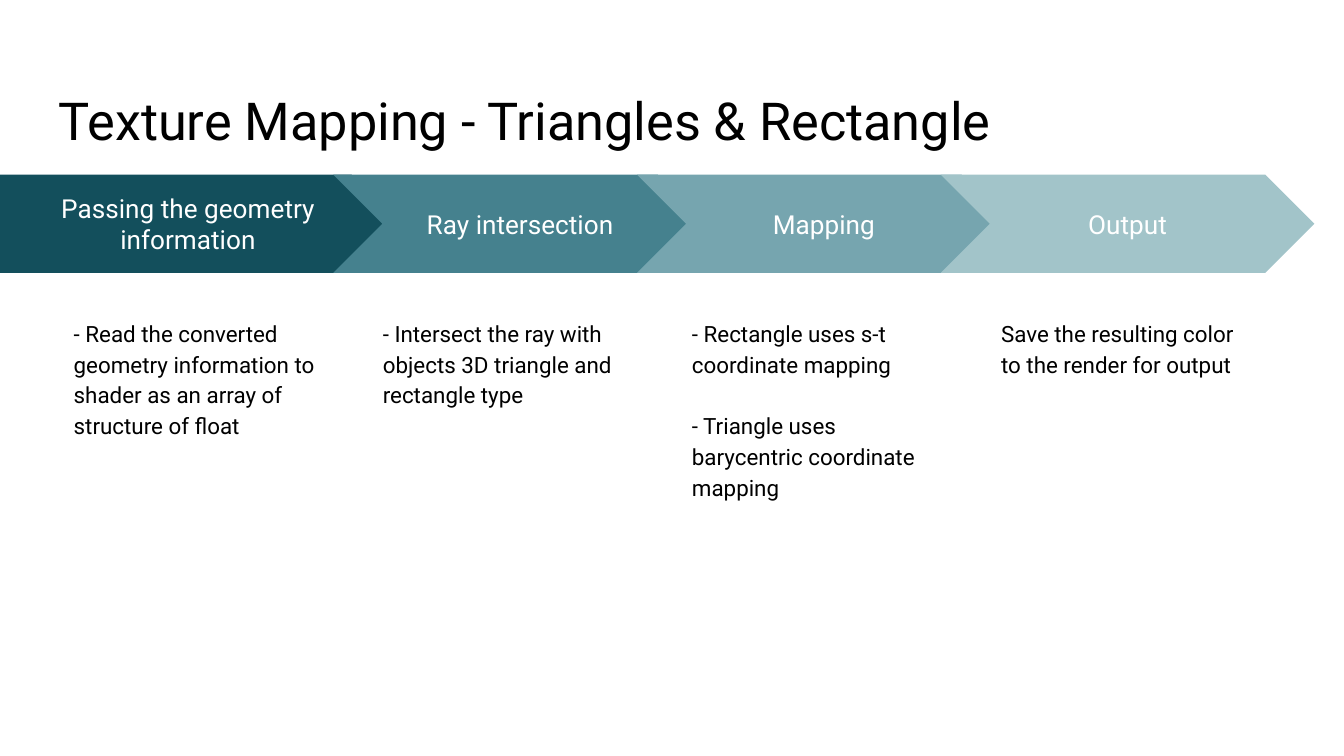
from dataclasses import dataclass

from pptx import Presentation
from pptx.dml.color import RGBColor
from pptx.enum.shapes import MSO_SHAPE
from pptx.enum.text import MSO_ANCHOR, PP_ALIGN
from pptx.slide import Slide
from pptx.text.text import TextFrame
from pptx.util import Inches, Pt

BLACK = RGBColor(0x00, 0x00, 0x00)
WHITE = RGBColor(0xFF, 0xFF, 0xFF)
DARK_TEAL = RGBColor(0x13, 0x4F, 0x5C)
TEAL = RGBColor(0x45, 0x81, 0x8E)
LIGHT_TEAL = RGBColor(0x76, 0xA5, 0xAF)
PALE_TEAL = RGBColor(0xA2, 0xC4, 0xC9)

FONT = "Roboto"
LINE_SPACING = 1.15
BLANK_LINE = Pt(16.5)

SLIDE_WIDTH = 10
SLIDE_HEIGHT = SLIDE_WIDTH * 9 / 16
ARROW_TOP, ARROW_HEIGHT = 1.3, 0.73
FIRST_ARROW_WIDTH = 2.98
CHEVRON_LEFT, CHEVRON_WIDTH, CHEVRON_PITCH = 2.48, 2.78, 2.26
DETAIL_LEFT, DETAIL_PITCH = 0.45, 2.3


@dataclass(frozen=True)
class Step:
    heading: str
    color: RGBColor
    details: tuple[str, ...]


STEPS = (
    Step("Passing the geometry information", DARK_TEAL,
         ("- Read the converted geometry information to shader as an array of structure of float",)),
    Step("Ray intersection", TEAL,
         ("- Intersect the ray with objects 3D triangle and rectangle type",)),
    Step("Mapping", LIGHT_TEAL,
         ("- Rectangle uses s-t coordinate mapping",
          "- Triangle uses barycentric coordinate mapping")),
    Step("Output", PALE_TEAL,
         ("Save the resulting color to the render for output",)),
)


def write(frame: TextFrame, paragraphs: tuple[str, ...], size: int, color: RGBColor,
          align: PP_ALIGN = PP_ALIGN.LEFT, line_spacing: float = LINE_SPACING) -> None:
    """Fill the frame, leaving one line's gap between paragraphs."""
    frame.word_wrap = True
    frame.margin_left = frame.margin_right = Inches(0.1)
    frame.margin_top = frame.margin_bottom = Inches(0.1)
    for index, text in enumerate(paragraphs):
        paragraph = frame.add_paragraph() if index else frame.paragraphs[0]
        paragraph.alignment = align
        paragraph.line_spacing = line_spacing
        if index:
            paragraph.space_before = BLANK_LINE
        run = paragraph.add_run()
        run.text = text
        run.font.name = FONT
        run.font.size = Pt(size)
        run.font.color.rgb = color


def add_text(slide: Slide, left: float, top: float, width: float, height: float,
             paragraphs: tuple[str, ...], size: int) -> None:
    box = slide.shapes.add_textbox(Inches(left), Inches(top), Inches(width), Inches(height))
    write(box.text_frame, paragraphs, size, BLACK)


def add_step(slide: Slide, index: int, step: Step) -> None:
    """Draw one arrow of the process and the details under it."""
    if index == 0:
        preset, left, width = MSO_SHAPE.PENTAGON, 0, FIRST_ARROW_WIDTH
    else:
        preset, width = MSO_SHAPE.CHEVRON, CHEVRON_WIDTH
        left = CHEVRON_LEFT + (index - 1) * CHEVRON_PITCH
    arrow = slide.shapes.add_shape(preset, Inches(left), Inches(ARROW_TOP),
                                   Inches(width), Inches(ARROW_HEIGHT))
    arrow.shadow.inherit = False
    arrow.fill.solid()
    arrow.fill.fore_color.rgb = step.color
    arrow.line.fill.background()
    arrow.text_frame.vertical_anchor = MSO_ANCHOR.MIDDLE
    write(arrow.text_frame, (step.heading,), 14, WHITE, PP_ALIGN.CENTER, 1.0)
    add_text(slide, DETAIL_LEFT + index * DETAIL_PITCH, 2.25, 2.08, 2.86, step.details, 12)


def main() -> None:
    presentation = Presentation()
    presentation.slide_width = Inches(SLIDE_WIDTH)
    presentation.slide_height = Inches(SLIDE_HEIGHT)
    slide = presentation.slides.add_slide(presentation.slide_layouts[6])
    add_text(slide, 0.34, 0.49, 9.32, 0.63, ("Texture Mapping - Triangles & Rectangle",), 28)
    for index, step in enumerate(STEPS):
        add_step(slide, index, step)
    presentation.save("out.pptx")


if __name__ == "__main__":
    main()
